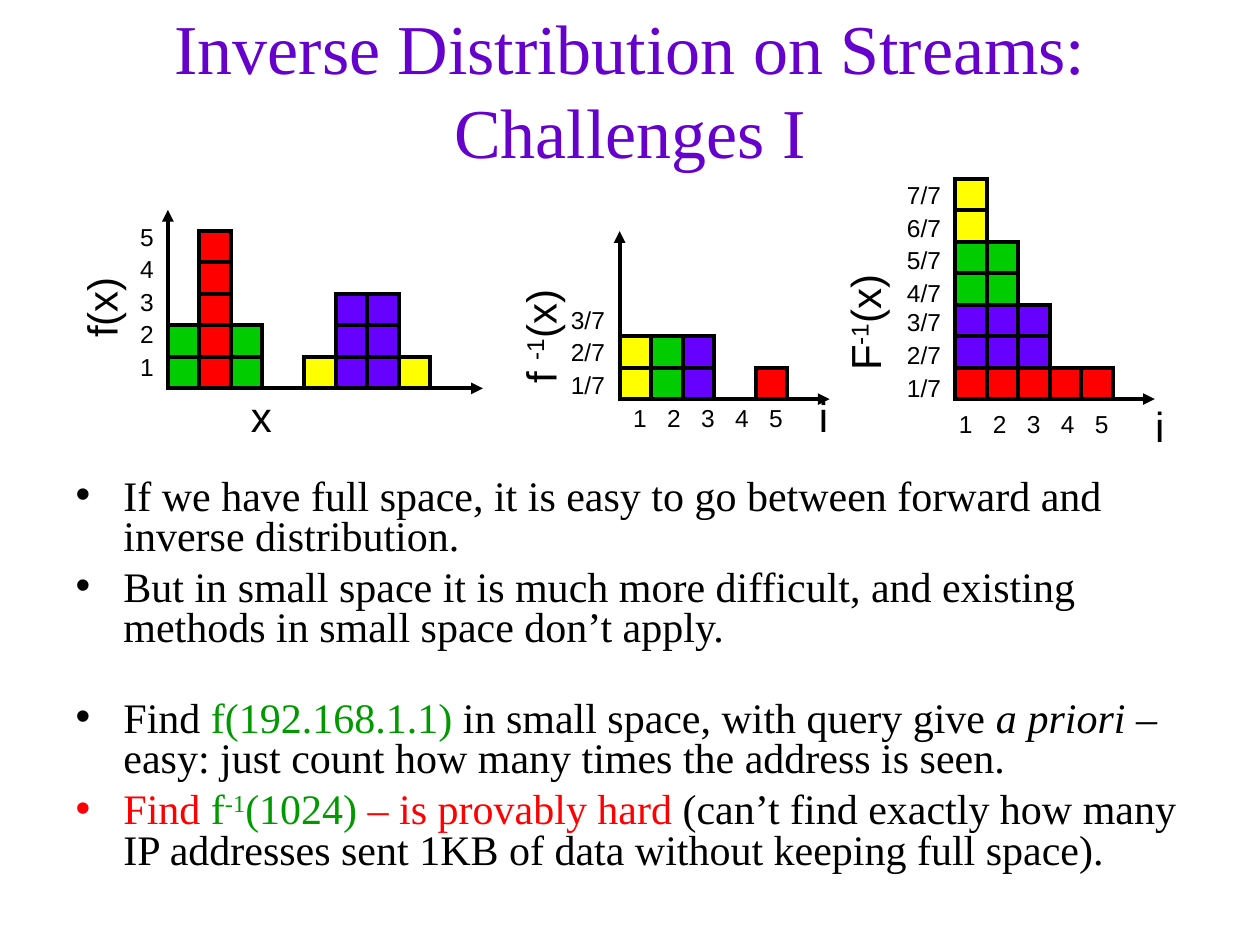
from dataclasses import dataclass

from lxml.etree import SubElement
from pptx import Presentation
from pptx.dml.color import RGBColor
from pptx.enum.shapes import MSO_CONNECTOR as Connector, MSO_SHAPE as Shape
from pptx.enum.text import MSO_ANCHOR as Anchor, MSO_AUTO_SIZE as AutoSize, PP_ALIGN as Align
from pptx.oxml.ns import qn
from pptx.util import Inches, Pt


@dataclass(frozen=True)
class Theme:
    serif: str = "Times New Roman"
    sans: str = "Arial"
    title: str = "6600CC"
    ink: str = "000000"
    query: str = "009900"
    hard: str = "FF0000"
    title_size: int = 40
    body_size: int = 24
    tick_size: int = 14
    line_width: float = 2.25


THEME = Theme()
CELL = 0.25  # inches; the slide is 40 columns by 30 rows
BLOCKS = {"R": "FF0000", "G": "00CC00", "Y": "FFFF00", "B": "6600FF"}


def cells(*counts):
    return [Inches(count * CELL) for count in counts]


def write(paragraph, text, font=THEME.sans, size=THEME.body_size, color=THEME.ink,
          italic=False, raised=False):
    """Add formatted text; a vertical tab in it breaks the line."""
    for number, line in enumerate(text.split("\v")):
        if number:
            paragraph.add_line_break()
        run = paragraph.add_run()
        run.text = line
        run.font.name, run.font.size = font, Pt(size)
        run.font.color.rgb = RGBColor.from_string(color)
        run.font.italic = italic
        if raised:
            run.font._element.set("baseline", "30000")


class SlideBuilder:
    def __init__(self, slide, theme):
        self.slide, self.theme = slide, theme

    def place(self, holder, *box):
        holder.left, holder.top, holder.width, holder.height = cells(*box)
        frame = holder.text_frame
        frame.auto_size = AutoSize.NONE
        return frame

    def title(self, text, *box):
        frame = self.place(self.slide.shapes.title, *box)
        frame.vertical_anchor = Anchor.MIDDLE
        heading = frame.paragraphs[0]
        heading.alignment = Align.CENTER
        write(heading, text, font=self.theme.serif, size=self.theme.title_size,
              color=self.theme.title)

    def bullets(self, items, *box):
        frame = self.place(self.slide.placeholders[1], *box)
        for number, (runs, dot_color, gap_after) in enumerate(items):
            item = frame.add_paragraph() if number else frame.paragraphs[0]
            item.line_spacing = 0.8
            item.space_before, item.space_after = Pt(6), Pt(gap_after)
            props = item._p.get_or_add_pPr()
            props.set("marL", str(Inches(0.38)))
            props.set("indent", str(-Inches(0.38)))
            SubElement(SubElement(props, qn("a:buClr")), qn("a:srgbClr"), val=dot_color)
            SubElement(props, qn("a:buChar"), char="•")
            for text, style in runs:
                write(item, text, font=self.theme.serif, **style)

    def text_box(self, *box, wrap=True, rotation=0):
        label = self.slide.shapes.add_textbox(*cells(*box))
        label.rotation = rotation
        frame = label.text_frame
        frame.margin_left = frame.margin_right = frame.margin_top = frame.margin_bottom = 0
        frame.word_wrap = wrap
        frame.auto_size = AutoSize.SHAPE_TO_FIT_TEXT
        return frame

    def block(self, col, row, color):
        square = self.slide.shapes.add_shape(Shape.RECTANGLE, *cells(col, row, 1, 1))
        square.shadow.inherit = False
        square.fill.solid()
        square.fill.fore_color.rgb = RGBColor.from_string(color)
        self.outline(square.line)
        SubElement(square.line._get_or_add_ln(), qn("a:miter"), lim="800000")

    def outline(self, line):
        line.color.rgb = RGBColor.from_string(self.theme.ink)
        line.width = Pt(self.theme.line_width)

    def arrow(self, *ends):
        axis = self.slide.shapes.add_connector(Connector.STRAIGHT, *cells(*ends))
        self.outline(axis.line)
        SubElement(axis.line._get_or_add_ln(), qn("a:tailEnd"), type="triangle")
        SubElement(axis._element.spPr, qn("a:effectLst"))

    def axis_name(self, runs, center, middle, width, rotation=0):
        height = 1.6
        frame = self.text_box(center - width / 2, middle - height / 2, width, height,
                              wrap=False, rotation=rotation)
        name = frame.paragraphs[0]
        name.alignment = Align.CENTER
        for text, style in runs:
            write(name, text, **style)

    def value_ticks(self, labels, *box):
        frame = self.text_box(*box)
        for number, label in enumerate(labels):
            tick = frame.add_paragraph() if number else frame.paragraphs[0]
            tick.alignment = Align.CENTER
            tick.space_before = Pt(1.8)
            write(tick, label, size=self.theme.tick_size)

    def count_ticks(self, labels, col, row):
        ticks = self.text_box(col, row, 5, 0.92).paragraphs[0]
        ticks.alignment = Align.LEFT
        ticks.space_before = Pt(1.8)
        stops = SubElement(ticks._p.get_or_add_pPr(), qn("a:tabLst"))
        for number in range(1, len(labels)):
            SubElement(stops, qn("a:tab"), pos=str(Inches(0.27 * number)), algn="l")
        write(ticks, "\t".join(labels), size=self.theme.tick_size)

    def histogram(self, origin, stacks, across, up=0):
        """Draw stacks, given as {column: colours from the bottom up}, and axes."""
        left, base = origin
        for col, stack in stacks.items():
            for level, key in enumerate(stack, start=1):
                self.block(left + col, base - level, BLOCKS[key])
        if up:
            self.arrow(left, base, left, base - up)
        self.arrow(left, base, left + across, base)


def main():
    deck = Presentation()
    deck.slide_width, deck.slide_height = Inches(10), Inches(7.5)
    page = SlideBuilder(deck.slides.add_slide(deck.slide_layouts[1]), THEME)
    plain, raised = {}, {"raised": True}
    query, hard = {"color": THEME.query}, {"color": THEME.hard}

    page.title("Inverse Distribution on Streams: Challenges I", 2, 0.32, 36, 5)

    # Forward distribution
    page.histogram((5.33, 12.33), {0: "GG", 1: "RRRRR", 2: "GG", 4.33: "Y", 5.33: "BBB",
                                   6.33: "BBB", 7.33: "Y"}, across=10, up=5.67)
    page.value_ticks("54321", 4, 7.04, 1.33, 5.08)
    page.axis_name([("f(x)", plain)], 3.2, 9.76, 2.6, rotation=270)
    page.axis_name([("x", plain)], 8.3, 13.2, 1)

    # Inverse distribution
    counts = "12345"
    sevenths = [f"{n}/7" for n in range(7, 0, -1)]
    page.histogram((19.67, 12.67), {0: "YY", 1: "GG", 2: "BB", 4.33: "R"}, across=6.67, up=5.33)
    page.value_ticks(sevenths[-3:], 18, 9.67, 1.33, 3)
    page.count_ticks(counts, 20.1, 12.8)
    page.axis_name([("f ", plain), ("-1", raised), ("(x)", plain)], 17.14, 10.68, 3.8,
                   rotation=270)
    page.axis_name([("i", plain)], 26.14, 13.2, 0.6)

    # Cumulative inverse distribution
    page.histogram((30.33, 12.67), {0: "RBBGGYY", 1: "RBBGG", 2: "RBB", 3: "R", 4: "R"},
                   across=6.33)
    page.value_ticks(sevenths[:3] + ["\v".join(sevenths[3:5])] + sevenths[5:],
                     28.67, 5.72, 1.33, 7.04)
    page.count_ticks(counts, 30.44, 13)
    page.axis_name([("F", plain), ("-1", raised), ("(x)", plain)], 27.44, 10.24, 3.8,
                   rotation=270)
    page.axis_name([("i", plain)], 36.82, 13.52, 0.6)

    # Points: runs, bullet colour, gap after in points
    page.bullets([
        ([("If we have full space, it is easy to go between forward and inverse distribution.",
           plain)], THEME.ink, 0),
        ([("But in small space it is much more difficult, and existing methods in small space "
           "don’t apply.", plain)], THEME.ink, 23),
        ([("Find ", plain), ("f(192.168.1.1)", query),
          (" in small space, with query give ", plain), ("a priori ", {"italic": True}),
          ("– easy: just count how many times the address is seen.", plain)], THEME.ink, 0),
        ([("Find ", hard), ("f", query), ("-1", query | raised), ("(1024) ", query),
          ("– is provably hard", hard),
          (" (can’t find exactly how many IP addresses sent 1KB of data without keeping "
           "full space).", plain)], THEME.hard, 0),
    ], 2, 15, 36, 13.68)

    deck.save("out.pptx")


if __name__ == "__main__":
    main()
